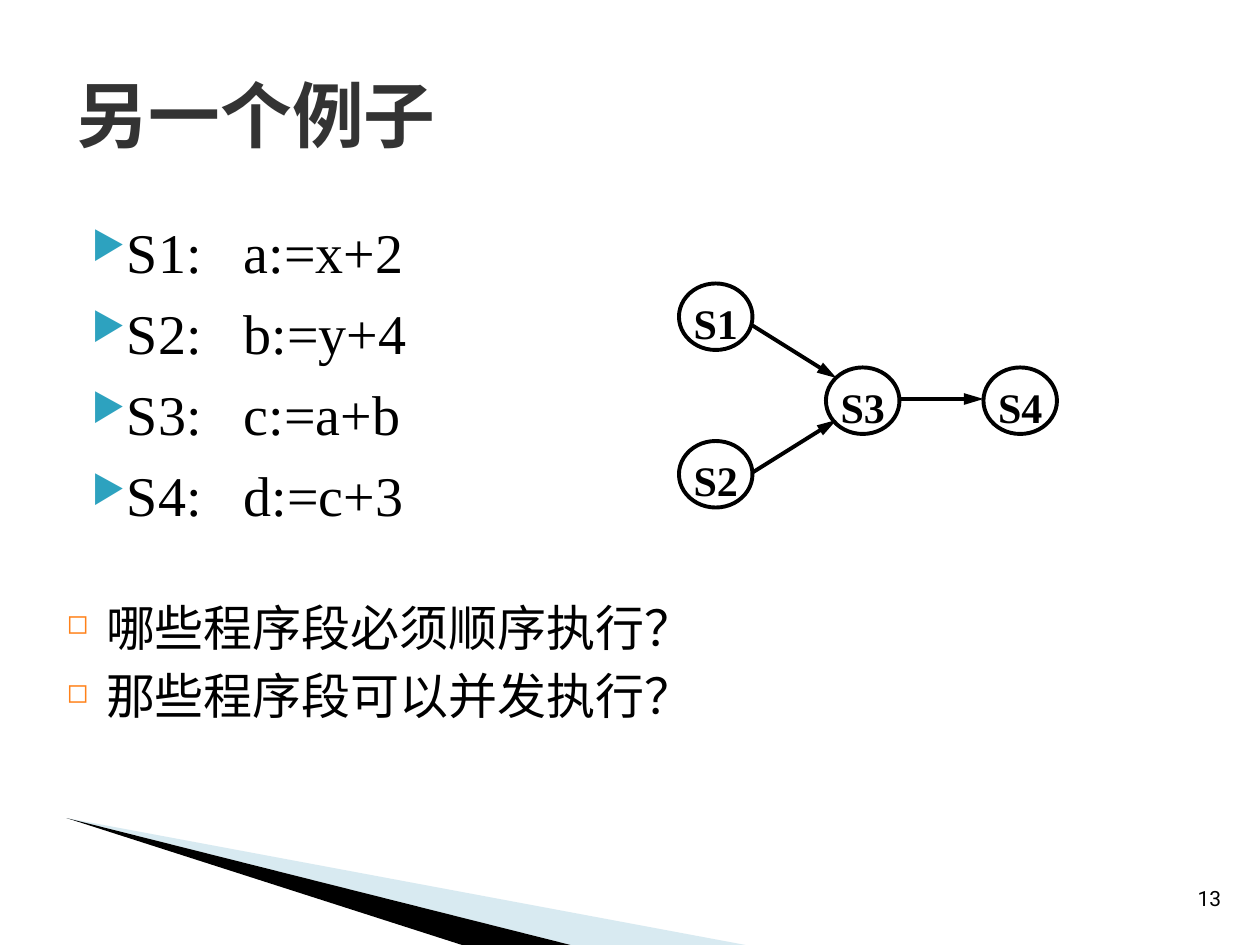
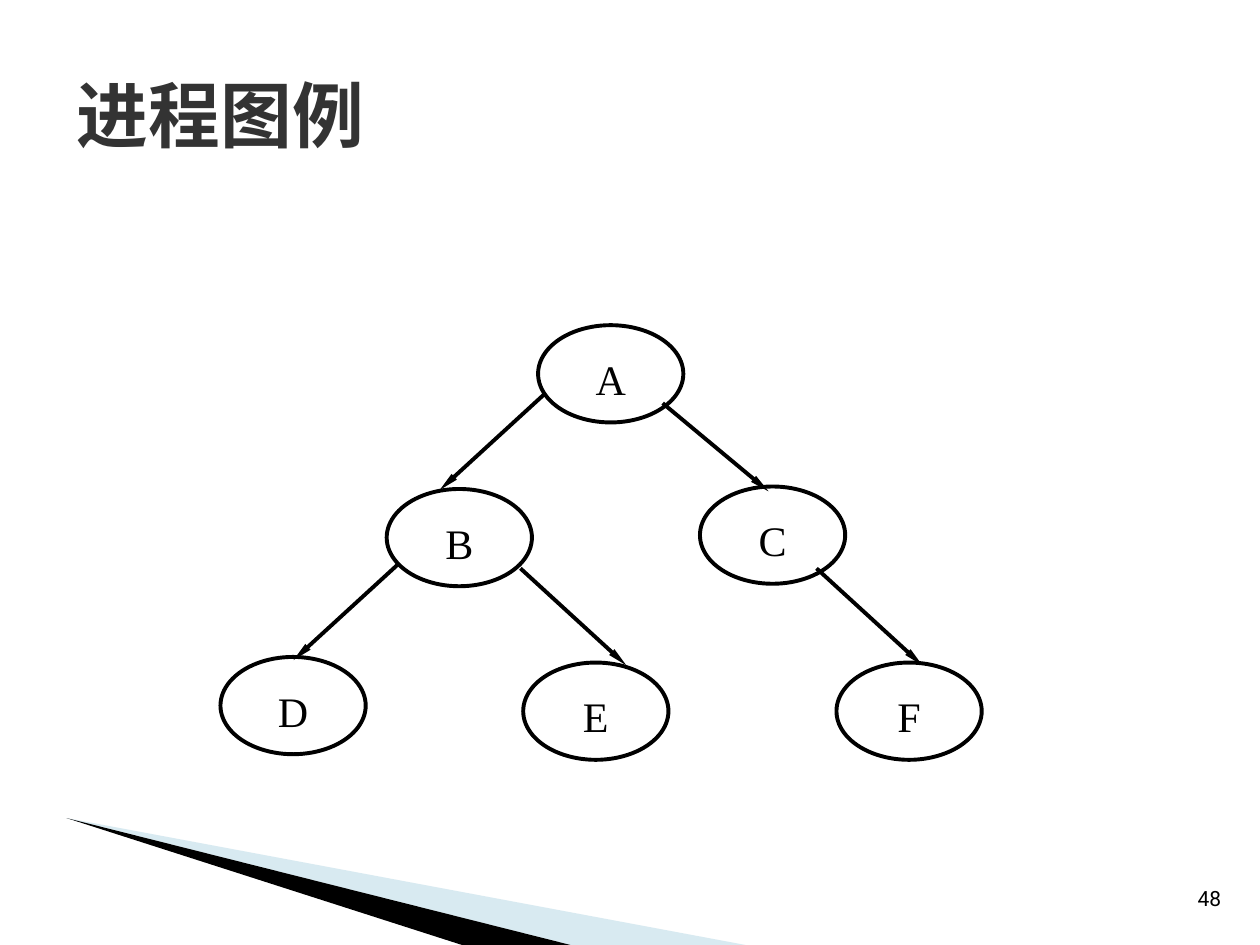
import pptx
import pptx.util
import pptx.dml.color
import pptx.enum.shapes
import pptx.enum.text
import pptx.oxml.ns
from lxml import etree

Pt = pptx.util.Pt
RGBColor = pptx.dml.color.RGBColor
Align = pptx.enum.text.PP_ALIGN
Anchor = pptx.enum.text.MSO_ANCHOR
qn = pptx.oxml.ns.qn

BLACK = RGBColor(0x00, 0x00, 0x00)
WHITE = RGBColor(0xFF, 0xFF, 0xFF)
TITLE_GREY = RGBColor(0x33, 0x33, 0x33)
PALE_BLUE = RGBColor(0x9F, 0xCB, 0xDC)
TEAL = RGBColor(0x2D, 0xA2, 0xBF)
ORANGE = RGBColor(0xFF, 0x81, 0x19)

SERIF = "Times New Roman"
TITLE_FONT = "Noto Sans CJK SC"
QUESTION_FONT = "Cabin"
NUMBER_FONT = "Roboto"
LINE_WIDTH = 2.25


# Text helpers
def add_span(para, text, font, size, colour=BLACK, bold=False):
    span = para.add_run()
    span.text = text
    span.font.name = font
    span.font.size = Pt(size)
    span.font.bold = bold
    span.font.color.rgb = colour
    east_asian = etree.SubElement(span.font._element, qn("a:ea"))
    east_asian.set("typeface", font)


def set_margins(frame, left, top, right, bottom):
    frame.margin_left, frame.margin_top = Pt(left), Pt(top)
    frame.margin_right, frame.margin_bottom = Pt(right), Pt(bottom)


def set_bullet(para, symbol, colour, percent, indent, hanging, tab=None):
    properties = para._p.get_or_add_pPr()
    properties.set("marL", str(Pt(indent)))
    properties.set("indent", str(-Pt(hanging)))
    bullet_colour = etree.SubElement(properties, qn("a:buClr"))
    etree.SubElement(bullet_colour, qn("a:srgbClr")).set("val", str(colour))
    etree.SubElement(properties, qn("a:buSzPct")).set("val", str(percent * 1000))
    etree.SubElement(properties, qn("a:buChar")).set("char", symbol)
    if tab:
        tabs = etree.SubElement(properties, qn("a:tabLst"))
        stop = etree.SubElement(tabs, qn("a:tab"))
        stop.set("pos", str(Pt(tab)))
        stop.set("algn", "l")


def add_bullets(page, box, lines, font, size, gap, wrap, bullet):
    frame = page.shapes.add_textbox(*map(Pt, box)).text_frame
    frame.word_wrap = wrap
    for index, line in enumerate(lines):
        para = frame.add_paragraph() if index else frame.paragraphs[0]
        set_bullet(para, **bullet)
        if index:
            para.space_before = Pt(gap)
        add_span(para, line, font, size)


# Shared frame: wedges, number, title
def add_wedge(page, points, colour, opacity=100):
    builder = page.shapes.build_freeform(Pt(points[0][0]), Pt(points[0][1]))
    builder.add_line_segments([(Pt(x), Pt(y)) for x, y in points[1:]])
    wedge = builder.convert_to_shape()
    wedge.shadow.inherit = False
    wedge.line.fill.background()
    wedge.fill.solid()
    wedge.fill.fore_color.rgb = colour
    if opacity < 100:
        value = wedge._element.spPr.find(".//" + qn("a:srgbClr"))
        etree.SubElement(value, qn("a:alpha")).set("val", str(opacity * 1000))


def add_page(deck, title, number):
    page = deck.slides.add_slide(deck.slide_layouts[5])
    tip = (38, 467.5)
    add_wedge(page, [tip, (426, 540), (326, 540)], PALE_BLUE, 40)
    add_wedge(page, [tip, (326, 540), (264, 540)], BLACK)

    frame = page.shapes.add_textbox(Pt(676.8), Pt(502.5), Pt(28.8), Pt(21.6)).text_frame
    frame.word_wrap = False
    frame.vertical_anchor = Anchor.MIDDLE
    frame.paragraphs[0].alignment = Align.CENTER
    add_span(frame.paragraphs[0], number, NUMBER_FONT, 12)

    heading = page.shapes.title
    heading.left, heading.top, heading.width, heading.height = map(Pt, (36.7, 20, 648, 90))
    frame = heading.text_frame
    frame.vertical_anchor = Anchor.MIDDLE
    frame.paragraphs[0].alignment = Align.LEFT
    add_span(frame.paragraphs[0], title, TITLE_FONT, 41, TITLE_GREY, True)
    return page


# Graph parts
def add_node(page, label, box, top_margin, bold=False):
    node = page.shapes.add_shape(pptx.enum.shapes.MSO_SHAPE.OVAL, *map(Pt, box))
    node.shadow.inherit = False
    node.fill.solid()
    node.fill.fore_color.rgb = WHITE
    node.line.color.rgb = BLACK
    node.line.width = Pt(LINE_WIDTH)
    frame = node.text_frame
    set_margins(frame, 0, top_margin, 0, 0)
    frame.vertical_anchor = Anchor.TOP
    frame.paragraphs[0].alignment = Align.CENTER
    add_span(frame.paragraphs[0], label, SERIF, 24, BLACK, bold)


def add_arrow(page, x, y, across, down, head_width):
    arrow = page.shapes.add_connector(
        pptx.enum.shapes.MSO_CONNECTOR.STRAIGHT,
        Pt(x), Pt(y), Pt(x + across), Pt(y + down))
    arrow.line.color.rgb = BLACK
    arrow.line.width = Pt(LINE_WIDTH)
    head = etree.SubElement(arrow.line._get_or_add_ln(), qn("a:tailEnd"))
    head.set("type", "triangle")
    head.set("w", head_width)
    head.set("len", "lg")
    etree.SubElement(arrow._element.spPr, qn("a:effectLst"))


def add_graph(page, box, nodes, arrows, size, top_margin, bold, head_width):
    left, top = box
    for label, (x, y) in nodes.items():
        add_node(page, label, (left + x, top + y, *size), top_margin, bold)
    for x, y, across, down in arrows:
        add_arrow(page, left + x, top + y, across, down, head_width)


# Slides
def add_example_page(deck):
    page = add_page(deck, "另一个例子", "13")
    statements = ["S1:\ta:=x+2", "S2:\tb:=y+4", "S3:\tc:=a+b", "S4:\td:=c+3"]
    add_bullets(page, (36.7, 120.5, 340, 200), statements, SERIF, 32, 8, True,
                dict(symbol="▶", colour=TEAL, percent=68,
                     indent=28.8, hanging=20.2, tab=95.5))
    nodes = {"S1": (0, 0), "S2": (0, 90), "S3": (84, 48), "S4": (174, 48)}
    arrows = [(42, 24, 48, 30), (42, 108, 48, -30), (126, 66, 48, 0)]
    add_graph(page, (388, 162), nodes, arrows, (42, 38), 2.3, True, "med")
    questions = ["哪些程序段必须顺序执行？", "那些程序段可以并发执行？"]
    add_bullets(page, (31, 337.7, 373, 81.4), questions, QUESTION_FONT, 28, 5.6, False,
                dict(symbol="◻", colour=ORANGE, percent=55,
                     indent=22.5, hanging=22.5))


def add_tree_page(deck):
    page = add_page(deck, "进程图例", "48")
    nodes = {"A": (181.5, 0), "B": (95, 93.6), "C": (274, 92.2),
             "D": (0, 189.6), "E": (173, 192.8), "F": (352, 192.8)}
    step, drop = 60.5, 55.4
    arrows = [(185.8, 38.8, -step, drop), (252.7, 44.6, step, 50.4),
              (102.2, 136, -step, drop), (171.4, 139, step, drop),
              (340.6, 139, step, drop)]
    add_graph(page, (126, 185.8), nodes, arrows, (83, 55.6), 8, False, "sm")


def main():
    deck = pptx.Presentation()
    deck.slide_width, deck.slide_height = Pt(720), Pt(540)
    add_example_page(deck)
    add_tree_page(deck)
    deck.save("out.pptx")


if __name__ == "__main__":
    main()
